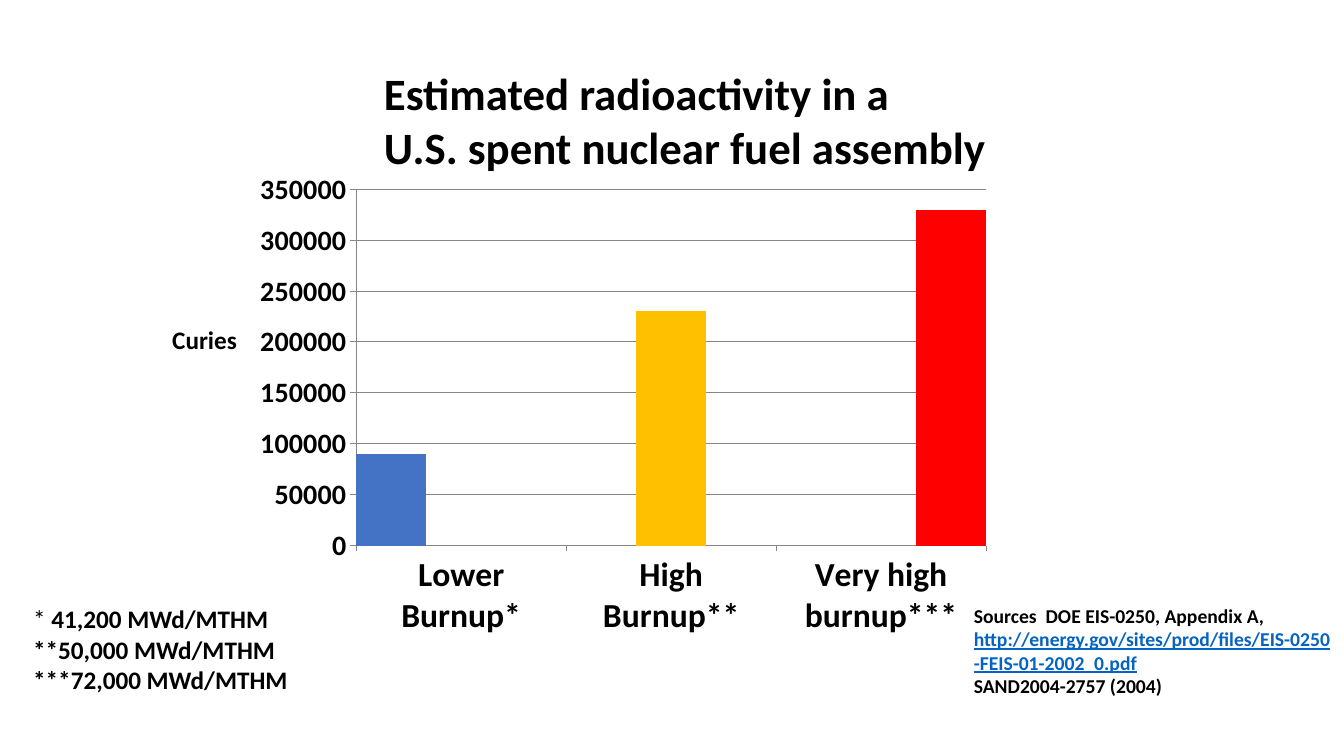
"""Build a slide charting radioactivity in spent nuclear fuel by burnup."""
import pptx
import pptx.util
import pptx.chart.data
import pptx.dml.color
import pptx.enum.chart
import pptx.enum.text

Inches, Pt = pptx.util.Inches, pptx.util.Pt
Color = pptx.dml.color.RGBColor.from_string
OUT = pptx.enum.chart.XL_TICK_MARK.OUTSIDE

THEME = {
    "font": "Calibri", "ink": "000000", "link": "0563C1", "line": "868686",
    "title": 32, "cat": 24, "val": 20, "body": 18, "source": 14,
}
BARS = [
    ("Lower Burnup*", 90000, "4472C4"),
    ("High Burnup**", 230000, "FFC000"),
    ("Very high burnup***", 330000, "FF0000"),
]
CHART = (2.43, 1.61, 7.5, 4.81)
TOP, STEP = 350000, 50000

TEXTS = [
    ((3.71, 0.6, 6.22, 1.48), "title", False, [
        [("Estimated radioactivity in a", "bold")],
        [("U.S. spent nuclear fuel assembly", "bold")],
    ]),
    ((0.23, 5.94, 2.75, 1.31), "body", False, [
        [("* ", "plain"), ("41,200 MWd/MTHM", "bold")],
        [("**50,000 MWd/MTHM", "bold")],
        [("***72,000 MWd/MTHM", "bold")],
    ]),
    ((9.56, 5.94, 3.77, 1.04), "source", True, [
        [("Sources  DOE EIS-0250, Appendix A, ", "bold"),
         ("http://energy.gov/sites/prod/files/EIS-0250-FEIS-01-2002_0.pdf", "link")],
        [("SAND2004-2757 (2004)", "bold")],
    ]),
    ((1.61, 3.17, 0.84, 0.4), "body", False, [[("Curies", "bold")]]),
]


def style(font, size, bold=True, color="ink"):
    font.name = THEME["font"]
    font.size = Pt(THEME[size])
    font.bold = bold
    font.color.rgb = Color(THEME[color])


def add_text(slide, box, size, wrap, lines):
    frame = slide.shapes.add_textbox(*map(Inches, box)).text_frame
    frame.word_wrap = wrap
    frame.auto_size = pptx.enum.text.MSO_AUTO_SIZE.NONE
    for i, line in enumerate(lines):
        para = frame.add_paragraph() if i else frame.paragraphs[0]
        for text, look in line:
            run = para.add_run()
            run.text = text
            linked = look == "link"
            style(run.font, size, look != "plain", "link" if linked else "ink")
            if linked:
                run.font.underline = True


def add_bars(slide):
    data = pptx.chart.data.CategoryChartData()
    data.categories = [name for name, _, _ in BARS]
    for i, (_, value, _) in enumerate(BARS):
        row = [value if i == j else None for j in range(len(BARS))]
        data.add_series(f"Series {i + 1}", row)
    kind = pptx.enum.chart.XL_CHART_TYPE.COLUMN_CLUSTERED
    chart = slide.shapes.add_chart(kind, *map(Inches, CHART), data).chart
    chart.has_legend = chart.has_title = False
    style(chart.font, "body", False)

    plot = chart.plots[0]
    plot.vary_by_categories = False
    plot.gap_width = plot.overlap = 0
    for series, (_, _, color) in zip(plot.series, BARS):
        series.format.fill.solid()
        series.format.fill.fore_color.rgb = Color(color)

    value = chart.value_axis
    value.minimum_scale, value.maximum_scale = 0, TOP
    value.major_unit = STEP
    value.has_major_gridlines = True
    for axis, size in ((chart.category_axis, "cat"), (value, "val")):
        axis.major_tick_mark = OUT
        style(axis.tick_labels.font, size)
    for part in (chart.category_axis, value, value.major_gridlines):
        part.format.line.color.rgb = Color(THEME["line"])
        part.format.line.width = Pt(0.75)


def main():
    deck = pptx.Presentation()
    deck.slide_width, deck.slide_height = Inches(13.33), Inches(7.5)
    slide = deck.slides.add_slide(deck.slide_layouts[6])
    add_bars(slide)
    for item in TEXTS:
        add_text(slide, *item)
    deck.save("out.pptx")


if __name__ == "__main__":
    main()
